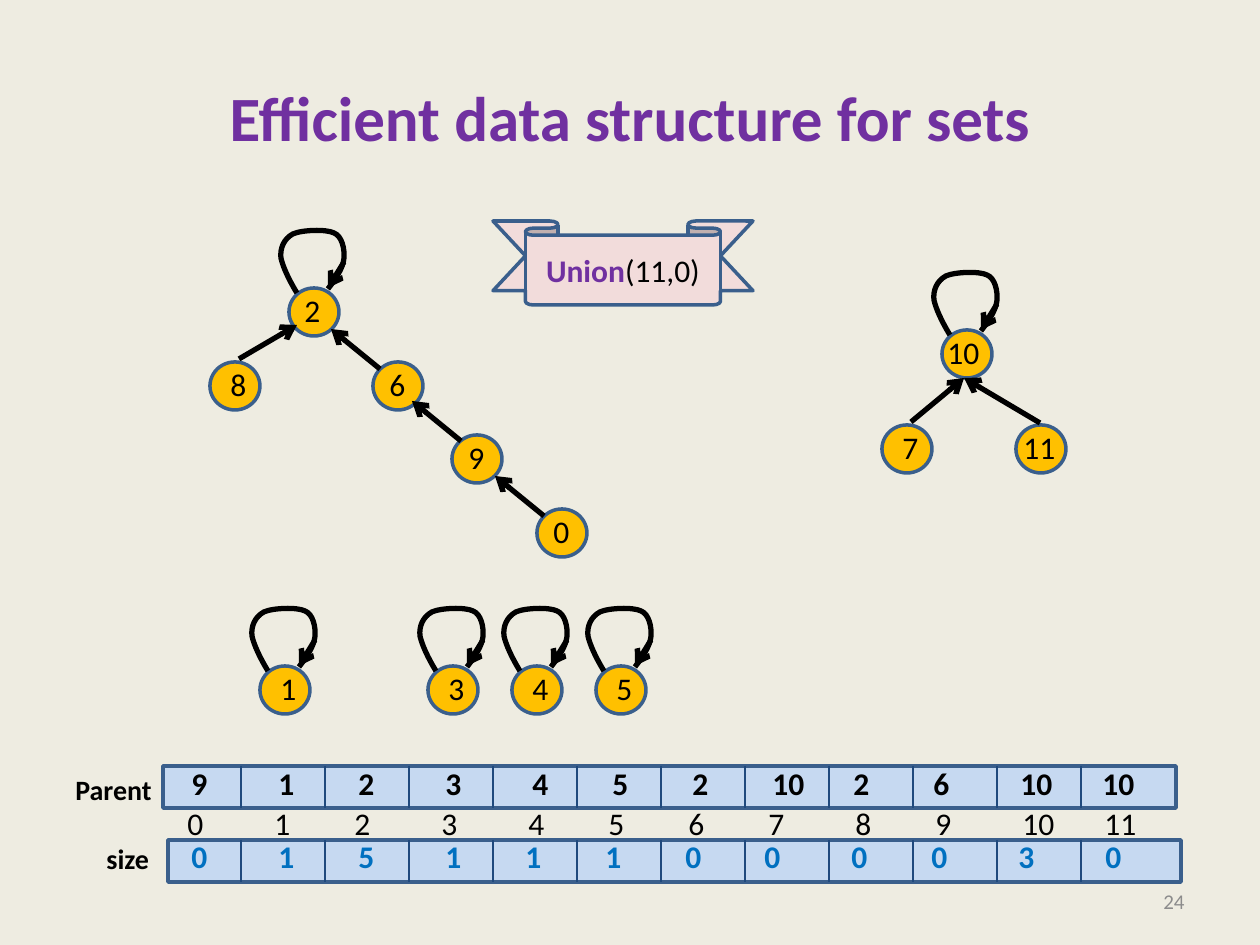
from dataclasses import dataclass

from lxml import etree
from pptx import Presentation
from pptx.dml.color import RGBColor
from pptx.enum.shapes import MSO_CONNECTOR, MSO_SHAPE
from pptx.enum.text import MSO_ANCHOR, MSO_AUTO_SIZE, PP_ALIGN
from pptx.oxml.ns import qn
from pptx.util import Emu, Pt

STRAIGHT = MSO_CONNECTOR.STRAIGHT
OVAL, RECTANGLE, RIBBON = MSO_SHAPE.OVAL, MSO_SHAPE.RECTANGLE, MSO_SHAPE.DOWN_RIBBON
MIDDLE = MSO_ANCHOR.MIDDLE
FIT_SHAPE = MSO_AUTO_SIZE.SHAPE_TO_FIT_TEXT
LEFT, CENTER, RIGHT = PP_ALIGN.LEFT, PP_ALIGN.CENTER, PP_ALIGN.RIGHT

CREAM = RGBColor(0xEE, 0xEC, 0xE1)
PURPLE = RGBColor(0x70, 0x30, 0xA0)
GRAY = RGBColor(0x8C, 0x8C, 0x8C)
BLACK = RGBColor(0, 0, 0)
GOLD = RGBColor(0xFF, 0xC0, 0x00)
OUTLINE = RGBColor(0x3A, 0x5F, 0x8C)
NAVY = RGBColor(0x1F, 0x49, 0x7D)
PALE_BLUE = RGBColor(0xC6, 0xD9, 0xF1)
BLUE = RGBColor(0x00, 0x70, 0xC0)
PINK = RGBColor(0xF2, 0xDC, 0xDB)

FONT = "Calibri"
EMU_PER_PX = 914400 / 126
NODE_WIDTH, NODE_HEIGHT = 50, 48
BAR_WIDTH, BAR_HEIGHT = 1013, 42
FIRST_DIVIDER, CELL_WIDTH, DIVIDER_COUNT = 241, 84, 11
LOOP_START = (8, 5)
LOOP_CURVES = (
    ((0, -8), (-6, -21), (-8, -30)),
    ((-9, -40), (-5, -49), (4, -54)),
    ((13, -58), (37, -59), (45, -55)),
    ((53, -52), (56, -39), (55, -29)),
    ((54, -20), (47, -9), (39, 1)),
)


@dataclass(frozen=True)
class Node:
    name: str
    left: int
    top: int
    label_shift: int
    is_root: bool = False


@dataclass(frozen=True)
class Edge:
    start: tuple[int, int]
    end: tuple[int, int]


@dataclass(frozen=True)
class ValueRow:
    values: str
    left: int
    top: int
    stops: tuple[int, ...]
    color: RGBColor = BLACK
    bold: bool = True


@dataclass(frozen=True)
class Bar:
    name: str
    left: int
    top: int
    label_left: int
    label_top: int


NODES = (
    Node("1", 260, 666, 8, True),
    Node("3", 428, 666, 8, True),
    Node("4", 512, 666, 8, True),
    Node("5", 596, 666, 8, True),
    Node("7", 882, 425, 8),
    Node("10", 942, 330, -7, True),
    Node("11", 1016, 425, -5),
    Node("2", 289, 288, 3, True),
    Node("6", 373, 362, 4),
    Node("9", 452, 435, 4),
    Node("0", 537, 509, 4),
    Node("8", 210, 362, 8),
)
EDGES = (
    Edge((380, 369), (331, 329)),
    Edge((461, 441), (412, 401)),
    Edge((544, 516), (495, 476)),
    Edge((239, 359), (297, 325)),
    Edge((1040, 423), (964, 378)),
    Edge((911, 422), (964, 378)),
)
BARS = (
    Bar("size", 168, 840, 94, 835),
    Bar("Parent", 163, 766, 63, 766),
)
ROWS = (
    ValueRow("0 1 2 3 4 5 6 7 8 9 10 11", 175, 798,
             (87, 167, 254, 341, 421, 501, 581, 668, 748, 835, 917), bold=False),
    ValueRow("0 1 5 1 1 1 0 0 0 0 3 0", 179, 831,
             (87, 167, 254, 334, 414, 494, 573, 660, 740, 827, 914), BLUE),
    ValueRow("9 1 2 3 4 5 2 10 2 6 10 10", 179, 758,
             (87, 167, 254, 341, 421, 501, 581, 662, 742, 829, 911)),
)


def px(length: float) -> Emu:
    return Emu(round(length * EMU_PER_PX))


def add_run(para, text: str, size: int, color: RGBColor = BLACK, bold: bool = False) -> None:
    span = para.add_run()
    span.text = text
    span.font.name = FONT
    span.font.size = Pt(size)
    span.font.color.rgb = color
    span.font.bold = bold


def add_text_box(page, left: int, top: int, width: int, height: int, wrap: bool = False):
    box = page.shapes.add_textbox(px(left), px(top), px(width), px(height))
    box.text_frame.word_wrap = wrap
    box.text_frame.auto_size = FIT_SHAPE
    return box


def add_filled_shape(page, kind, left: int, top: int, width: int, height: int, fill: RGBColor):
    shape = page.shapes.add_shape(kind, px(left), px(top), px(width), px(height))
    shape.shadow.inherit = False
    shape.fill.solid()
    shape.fill.fore_color.rgb = fill
    shape.line.color.rgb = OUTLINE
    shape.line.width = Pt(2)
    return shape


def add_line(page, edge: Edge, color: RGBColor, width: float, arrow: bool = False) -> None:
    line = page.shapes.add_connector(STRAIGHT, *map(px, edge.start + edge.end))
    line.line.color.rgb = color
    line.line.width = Pt(width)
    if arrow:
        etree.SubElement(line.line._get_or_add_ln(), qn("a:tailEnd"), type="arrow")
    etree.SubElement(line._element.spPr, qn("a:effectLst"))


def bend_segments(curve) -> None:
    segments = list(curve._element.iter(qn("a:lnTo")))
    outline = segments[0].getparent()
    for first in range(0, len(segments), 3):
        bend = etree.SubElement(outline, qn("a:cubicBezTo"))
        for segment in segments[first:first + 3]:
            bend.append(segment[0])
            outline.remove(segment)


def add_loop(page, node: Node) -> None:
    def place(point: tuple[int, int]) -> tuple[Emu, Emu]:
        return px(node.left + point[0]), px(node.top + point[1])

    builder = page.shapes.build_freeform(*place(LOOP_START))
    points = [place(point) for curve in LOOP_CURVES for point in curve]
    builder.add_line_segments(points, close=False)
    loop = builder.convert_to_shape()
    bend_segments(loop)
    loop.shadow.inherit = False
    loop.fill.background()
    loop.line.color.rgb = BLACK
    loop.line.width = Pt(3)
    tip = Edge((node.left + 55, node.top - 26), (node.left + 39, node.top))
    add_line(page, tip, BLACK, 3, arrow=True)


def add_node(page, node: Node) -> None:
    add_filled_shape(page, OVAL, node.left, node.top, NODE_WIDTH, NODE_HEIGHT, GOLD)
    if node.is_root:
        add_loop(page, node)
    width = 26 + 16 * len(node.name)
    box = add_text_box(page, node.left + node.label_shift, node.top - 3, width, 50)
    add_run(box.text_frame.paragraphs[0], node.name, 18)


def add_bar(page, bar: Bar) -> None:
    add_filled_shape(page, RECTANGLE, bar.left, bar.top, BAR_WIDTH, BAR_HEIGHT, PALE_BLUE)
    for index in range(DIVIDER_COUNT):
        x = FIRST_DIVIDER + index * CELL_WIDTH
        add_line(page, Edge((x, bar.top), (x, bar.top + BAR_HEIGHT)), NAVY, 1.5)
    box = add_text_box(page, bar.label_left, bar.label_top, 165 - bar.label_left, 47)
    add_run(box.text_frame.paragraphs[0], bar.name, 16, bold=True)


def add_value_row(page, row: ValueRow) -> None:
    box = add_text_box(page, row.left, row.top, 1000, 50, wrap=True)
    para = box.text_frame.paragraphs[0]
    para.alignment = LEFT
    tabs = etree.SubElement(para._p.get_or_add_pPr(), qn("a:tabLst"))
    for stop in row.stops:
        etree.SubElement(tabs, qn("a:tab"), pos=str(px(stop)), algn="l")
    add_run(para, "\t".join(row.values.split()), 18, row.color, row.bold)


def add_title(page) -> None:
    title = page.shapes.title
    title.left, title.top, title.width, title.height = map(px, (63, 38, 1134, 157))
    title.text_frame.vertical_anchor = MIDDLE
    para = title.text_frame.paragraphs[0]
    para.alignment = CENTER
    add_run(para, "Efficient data structure for sets", 36, PURPLE, True)


def add_page_number(page) -> None:
    box = page.shapes.add_textbox(*map(px, (903, 876, 294, 50)))
    box.text_frame.word_wrap = True
    box.text_frame.vertical_anchor = MIDDLE
    para = box.text_frame.paragraphs[0]
    para.alignment = RIGHT
    add_run(para, "24", 12, GRAY)


def add_banner(page) -> None:
    banner = add_filled_shape(page, RIBBON, 493, 221, 260, 84, PINK)
    banner.adjustments[0], banner.adjustments[1] = 0.17, 0.75
    banner.text_frame.vertical_anchor = MIDDLE
    para = banner.text_frame.paragraphs[0]
    para.alignment = CENTER
    add_run(para, "Union", 18, PURPLE, True)
    add_run(para, "(11,0)", 18)


def main() -> None:
    deck = Presentation()
    deck.slide_width, deck.slide_height = px(1260), px(945)
    page = deck.slides.add_slide(deck.slide_layouts[5])
    page.background.fill.solid()
    page.background.fill.fore_color.rgb = CREAM
    add_title(page)
    add_page_number(page)
    for node in NODES:
        add_node(page, node)
    for bar in BARS:
        add_bar(page, bar)
    for row in ROWS:
        add_value_row(page, row)
    for edge in EDGES:
        add_line(page, edge, BLACK, 3, arrow=True)
    add_banner(page)
    deck.save("out.pptx")


if __name__ == "__main__":
    main()
